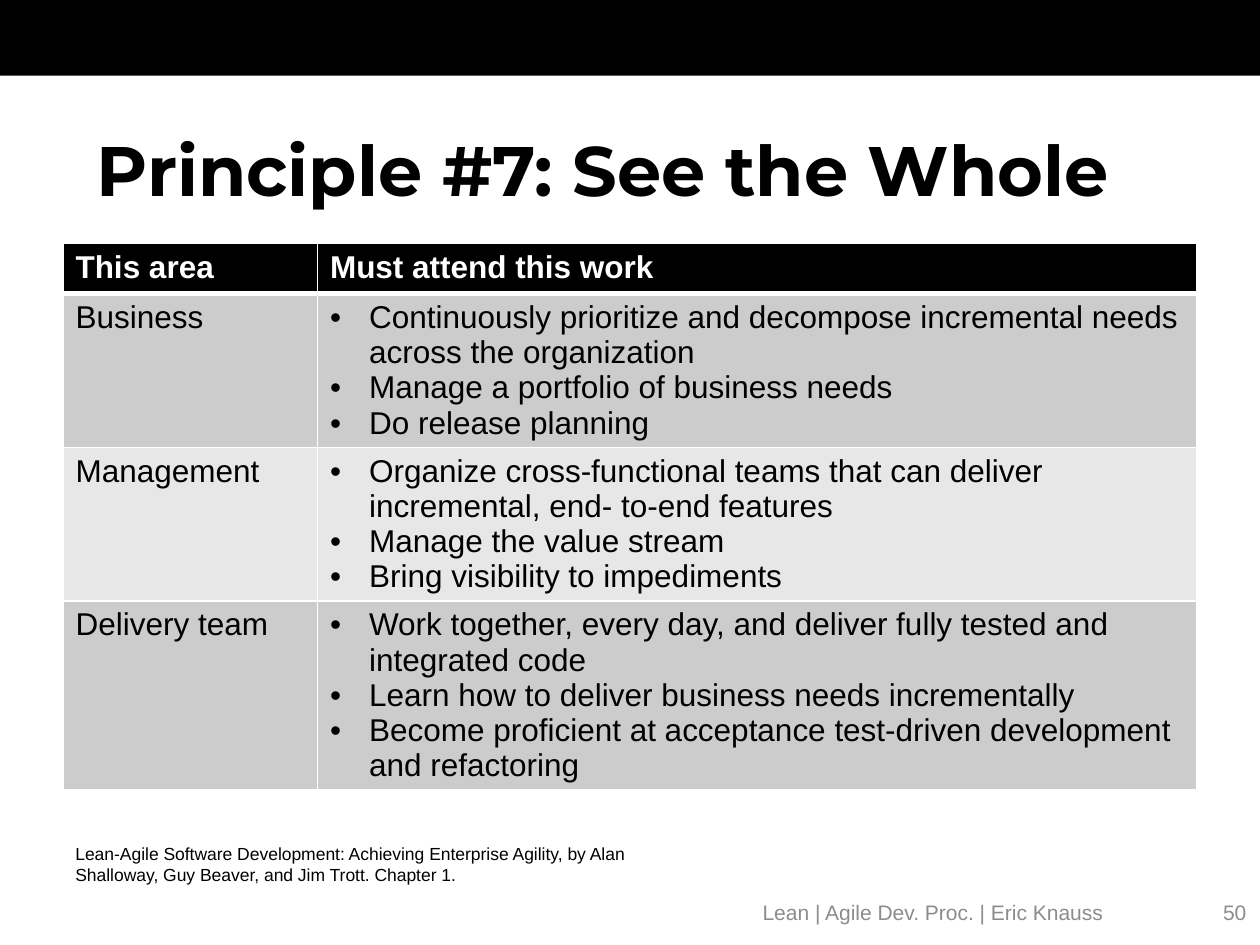
import pptx
import pptx.util
import pptx.dml.color
import pptx.enum.shapes
import pptx.enum.text
import pptx.oxml
import pptx.oxml.ns

Inches = pptx.util.Inches
Pt = pptx.util.Pt
RGBColor = pptx.dml.color.RGBColor
ALIGN = pptx.enum.text.PP_ALIGN
ANCHOR = pptx.enum.text.MSO_ANCHOR

BLACK = RGBColor(0, 0, 0)
WHITE = RGBColor(255, 255, 255)
DARK_BAND = RGBColor(0xCC, 0xCC, 0xCC)
LIGHT_BAND = RGBColor(0xE7, 0xE7, 0xE7)
FOOTER_GRAY = RGBColor(0x8C, 0x8C, 0x8C)


def write(paragraph, text, color, **formats):
    run = paragraph.add_run()
    run.text = text
    run.font.color.rgb = color
    for key, value in formats.items():
        setattr(run.font, key, value)


def add_xml(parent, tag, content="", **attributes):
    values = "".join(f' {key}="{value}"' for key, value in attributes.items())
    namespace = pptx.oxml.ns.nsdecls("a")
    parent.append(pptx.oxml.parse_xml(f"<a:{tag} {namespace}{values}>{content}</a:{tag}>"))


deck = pptx.Presentation()
deck.slide_width, deck.slide_height = Inches(10), Inches(7.5)
slide = deck.slides.add_slide(deck.slide_layouts[6])

banner = slide.shapes.add_shape(
    pptx.enum.shapes.MSO_SHAPE.RECTANGLE, 0, 0, Inches(10), Inches(0.6))
banner.shadow.inherit = False
banner.fill.solid()
banner.fill.fore_color.rgb = BLACK
banner.line.fill.background()

areas = [
    ("This area", ["Must attend this work"], 0.4, BLACK),
    ("Business", [
        "Continuously prioritize and decompose incremental needs across the organization",
        "Manage a portfolio of business needs",
        "Do release planning"], 1.22, DARK_BAND),
    ("Management", [
        "Organize cross-functional teams that can deliver incremental, end- to-end features",
        "Manage the value stream",
        "Bring visibility to impediments"], 1.22, LIGHT_BAND),
    ("Delivery team", [
        "Work together, every day, and deliver fully tested and integrated code",
        "Learn how to deliver business needs incrementally",
        "Become proficient at acceptance test-driven development and refactoring"],
        1.5, DARK_BAND),
]
responsibilities = slide.shapes.add_table(
    len(areas), 2, Inches(0.5), Inches(1.93), Inches(9), Inches(4.34)).table
for column, width in zip(responsibilities.columns, (2.02, 6.98)):
    column.width = Inches(width)

for row, (area, duties, height, band) in enumerate(areas):
    responsibilities.rows[row].height = Inches(height)
    header = row == 0
    for column, lines in enumerate(([area], duties)):
        cell = responsibilities.cell(row, column)
        properties = cell._tc.get_or_add_tcPr()
        for side in "LRTB":
            thick = (header and side == "B") or (row == 1 and side == "T")
            add_xml(properties, f"ln{side}",
                    f'<a:solidFill><a:srgbClr val="{WHITE}"/></a:solidFill>',
                    w=Pt(3 if thick else 1))
        cell.fill.solid()
        cell.fill.fore_color.rgb = band
        for index, line in enumerate(lines):
            frame = cell.text_frame
            paragraph = frame.add_paragraph() if index else frame.paragraphs[0]
            if column and not header:
                layout = paragraph._p.get_or_add_pPr()
                layout.set("marL", str(Inches(0.31)))
                layout.set("indent", str(-Inches(0.31)))
                add_xml(layout, "buFont", typeface="Arial")
                add_xml(layout, "buChar", char="•")
            write(paragraph, line, WHITE if header else BLACK,
                  name="Arial", size=Pt(18), bold=header)

texts = [
    ("Principle #7: See the Whole", (0.67, 0.92, 9.33, 0.83), ANCHOR.MIDDLE, ALIGN.LEFT,
     BLACK, {"name": "Montserrat", "size": Pt(40), "bold": True}),
    ("Lean-Agile Software Development: Achieving Enterprise Agility, by Alan Shalloway, "
     "Guy Beaver, and Jim Trott. Chapter 1.", (0.5, 6.64, 5, 0.44), ANCHOR.TOP, ALIGN.LEFT,
     BLACK, {"name": "Arial", "size": Pt(10)}),
    ("Lean | Agile Dev. Proc. | Eric Knauss", (5.82, 7.04, 3.17, 0.4), ANCHOR.MIDDLE,
     ALIGN.CENTER, FOOTER_GRAY, {"name": "Arial", "size": Pt(12)}),
    ("50", (9.07, 7.04, 0.92, 0.4), ANCHOR.MIDDLE, ALIGN.RIGHT,
     FOOTER_GRAY, {"name": "Arial", "size": Pt(12)}),
]
for text, place, anchor, alignment, color, formats in texts:
    frame = slide.shapes.add_textbox(*map(Inches, place)).text_frame
    frame.word_wrap = True
    frame.vertical_anchor = anchor
    frame.paragraphs[0].alignment = alignment
    write(frame.paragraphs[0], text, color, **formats)

deck.save("out.pptx")
